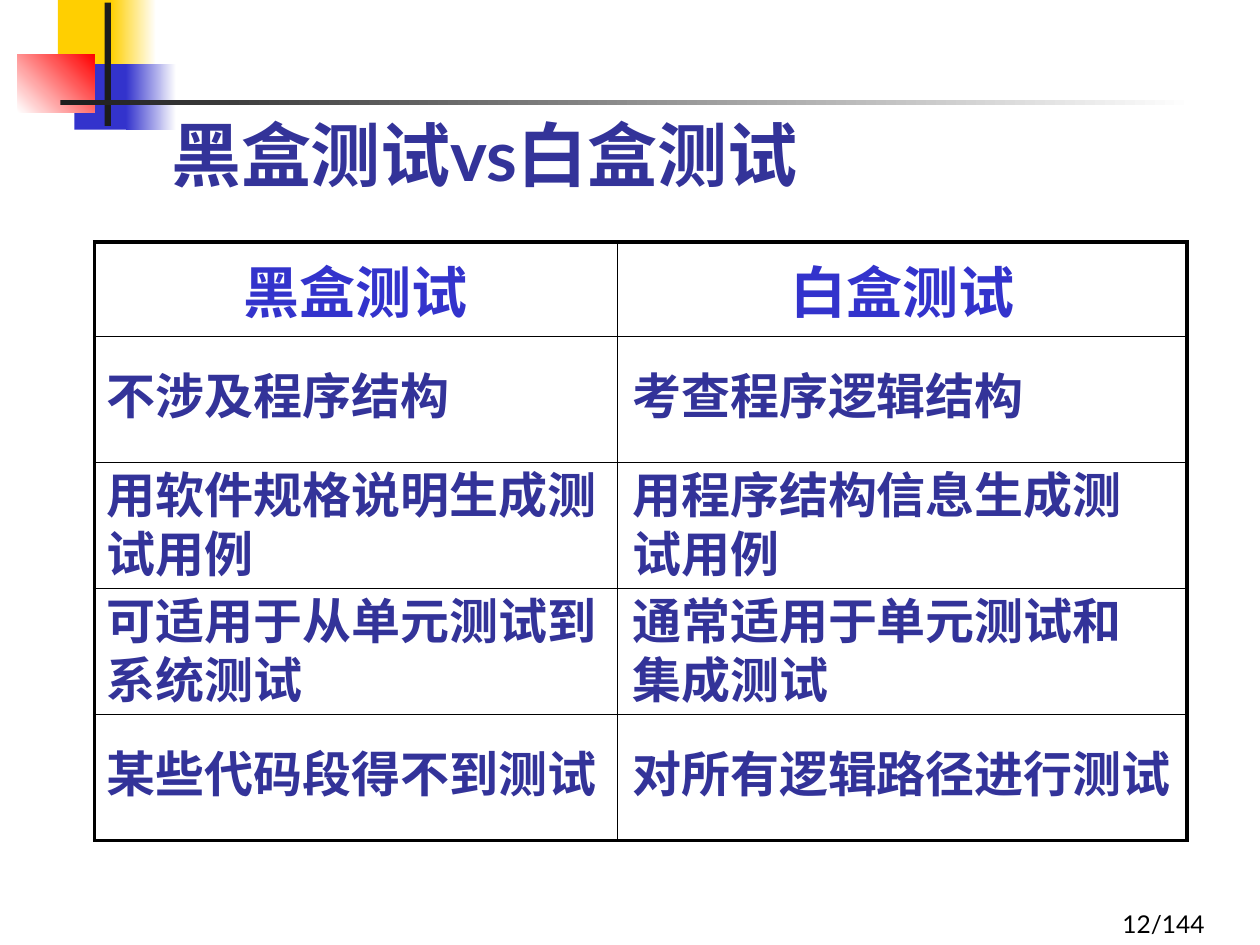
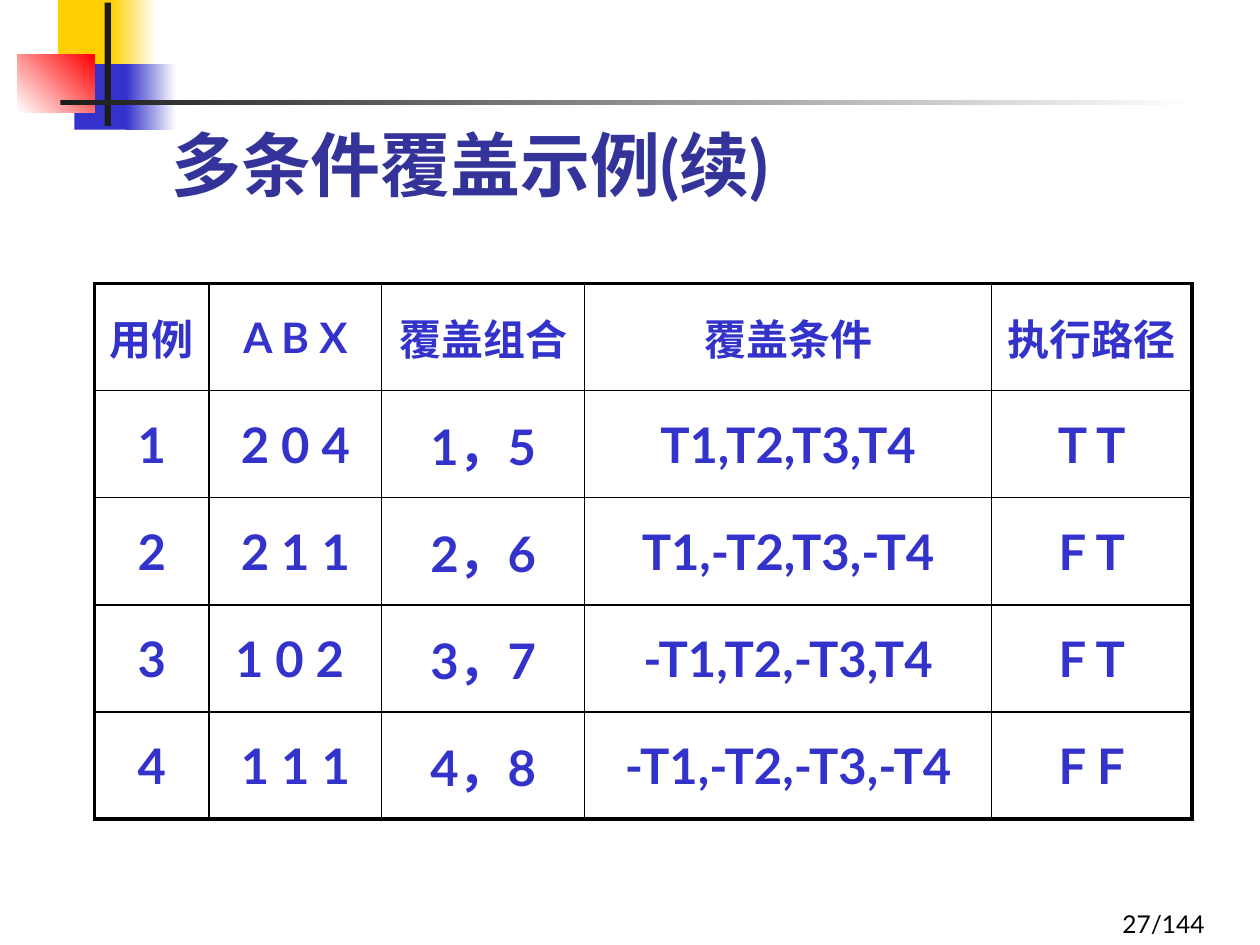
"""Build two slides on software testing: black box vs white box, and condition coverage."""
from lxml import etree
from pptx import Presentation
from pptx import util as u
from pptx.dml.color import RGBColor
from pptx.enum import shapes, text
from pptx.oxml import ns

YELLOW = RGBColor(0xFF, 0xCF, 0x01)
BLUE = RGBColor(0x33, 0x33, 0xCC)
NAVY = RGBColor(0x33, 0x33, 0x99)
RED = RGBColor(0xFF, 0x00, 0x00)
CHARCOAL = RGBColor(0x1C, 0x1C, 0x1C)
BLACK = RGBColor(0x00, 0x00, 0x00)
WHITE = RGBColor(0xFF, 0xFF, 0xFF)

TITLE = {"size": u.Pt(40), "bold": True, "name": "Lato"}
BODY = {"size": u.Pt(28), "bold": True, "name": "Lato"}
HEADER = {"size": u.Pt(32), "bold": True, "name": "Lato"}
SMALL_HEADER = {"size": u.Pt(24), "bold": True, "name": "Lato"}
PAGE = {"size": u.Pt(14), "bold": False, "name": "Lato"}

ORNAMENT = [
    ((0.46, 0, 0.48, 0.52), (YELLOW,), 0),
    ((0.88, 0, 0.36, 0.52), (YELLOW, WHITE), 0),
    ((0.59, 0.51, 0.46, 0.52), (BLUE,), 0),
    ((1, 0.51, 0.4, 0.52), (BLUE, WHITE), 0),
    ((0.14, 0.43, 0.61, 0.46), (WHITE, RED), 45),
    ((0.83, 0.02, 0.05, 0.98), (CHARCOAL,), 0),
    ((0.48, 0.79, 9, 0.04), (CHARCOAL, WHITE), 0),
]

COMPARISON = [
    (3.42, 0.67, 4.42, ("不涉及程序结构", "考查程序逻辑结构")),
    (4.67, 1, 4.42, ("用软件规格说明生成测试用例", "用程序结构信息生成测试用例")),
    (5.67, 1, 4.42, ("可适用于从单元测试到系统测试", "通常适用于单元测试和集成测试")),
    (6.42, 0.67, 4.52, ("某些代码段得不到测试", "对所有逻辑路径进行测试")),
]

COVERAGE = [
    ("用例", "A B X", "覆盖组合", "覆盖条件", "执行路径"),
    ("1", "2 0 4", "1，5", "T1,T2,T3,T4", "T T"),
    ("2", "2 1 1", "2，6", "T1,-T2,T3,-T4", "F T"),
    ("3", "1 0 2 ", "3，7", "-T1,T2,-T3,T4", "F T"),
    ("4", "1 1 1", "4，8", "-T1,-T2,-T3,-T4", "F F"),
]

SLIDES = [
    {
        "title": "黑盒测试vs白盒测试", "title_top": 0.92, "page": "12/144",
        "table_top": 1.92, "columns": [4.15, 4.52], "rows": [0.75, 1, 1, 1, 1],
        "cells": [("黑盒测试", "白盒测试")], "header": HEADER, "overlay": COMPARISON,
    },
    {
        "title": "多条件覆盖示例(续)", "title_top": 1, "page": "27/144",
        "table_top": 2.25, "columns": [0.91, 1.37, 1.61, 3.23, 1.59], "rows": [0.85] * 5,
        "cells": COVERAGE, "header": SMALL_HEADER, "overlay": [],
    },
]


def write(frame, words, style, color, alignment=text.PP_ALIGN.LEFT):
    """Put one formatted paragraph into a text frame."""
    paragraph = frame.paragraphs[0]
    paragraph.alignment = alignment
    run = paragraph.add_run()
    run.text = words
    run.font.color.rgb = color
    for attribute, value in style.items():
        setattr(run.font, attribute, value)


def add_text(slide, place, words, style, color, alignment=text.PP_ALIGN.LEFT):
    """Add a wrapping, bottom-anchored text box."""
    frame = slide.shapes.add_textbox(*map(u.Inches, place)).text_frame
    frame.word_wrap = True
    frame.vertical_anchor = text.MSO_ANCHOR.BOTTOM
    write(frame, words, style, color, alignment)


presentation = Presentation()
presentation.slide_width = u.Inches(10)
presentation.slide_height = u.Inches(7.5)

for content in SLIDES:
    slide = presentation.slides.add_slide(presentation.slide_layouts[6])

    for place, colors, angle in ORNAMENT:
        shape = slide.shapes.add_shape(shapes.MSO_SHAPE.RECTANGLE, *map(u.Inches, place))
        shape.shadow.inherit = False
        shape.line.fill.background()
        if len(colors) == 1:
            shape.fill.solid()
            shape.fill.fore_color.rgb = colors[0]
        else:
            shape.fill.gradient()
            shape.fill.gradient_angle = angle
            for position, (stop, color) in enumerate(zip(shape.fill.gradient_stops, colors)):
                stop.position = position
                stop.color.rgb = color

    add_text(slide, (1.26, content["title_top"], 8.52, 0.68), content["title"], TITLE, NAVY)

    columns, rows = content["columns"], content["rows"]
    table = slide.shapes.add_table(
        len(rows), len(columns), u.Inches(0.75), u.Inches(content["table_top"]),
        u.Inches(sum(columns)), u.Inches(sum(rows))).table
    table.first_row = table.horz_banding = False
    for column, width in zip(table.columns, columns):
        column.width = u.Inches(width)
    for row, height in zip(table.rows, rows):
        row.height = u.Inches(height)

    for row_index in range(len(rows)):
        for column_index in range(len(columns)):
            cell = table.cell(row_index, column_index)
            cell.vertical_anchor = text.MSO_ANCHOR.MIDDLE
            cell.fill.background()
            outer_edges = {
                "a:lnL": column_index == 0,
                "a:lnR": column_index == len(columns) - 1,
                "a:lnT": row_index == 0,
                "a:lnB": row_index == len(rows) - 1,
            }
            properties = cell._tc.get_or_add_tcPr()
            for order, (edge, is_outer) in enumerate(outer_edges.items()):
                border = etree.Element(ns.qn(edge), w=str(u.Pt(2.25 if is_outer else 1)))
                fill = etree.SubElement(border, ns.qn("a:solidFill"))
                etree.SubElement(fill, ns.qn("a:srgbClr"), val=str(BLACK))
                properties.insert(order, border)
            if row_index < len(content["cells"]):
                style = BODY if row_index else content["header"]
                write(cell.text_frame, content["cells"][row_index][column_index],
                      style, BLUE, text.PP_ALIGN.CENTER)

    for bottom, height, right_width, (black_box, white_box) in content["overlay"]:
        top = bottom - height
        add_text(slide, (0.75, top, 4.1, height), black_box, BODY, NAVY)
        add_text(slide, (4.92, top, right_width, height), white_box, BODY, NAVY)

    add_text(slide, (7.58, 7, 2.08, 0.5), content["page"], PAGE, BLACK, text.PP_ALIGN.RIGHT)

presentation.save("out.pptx")
